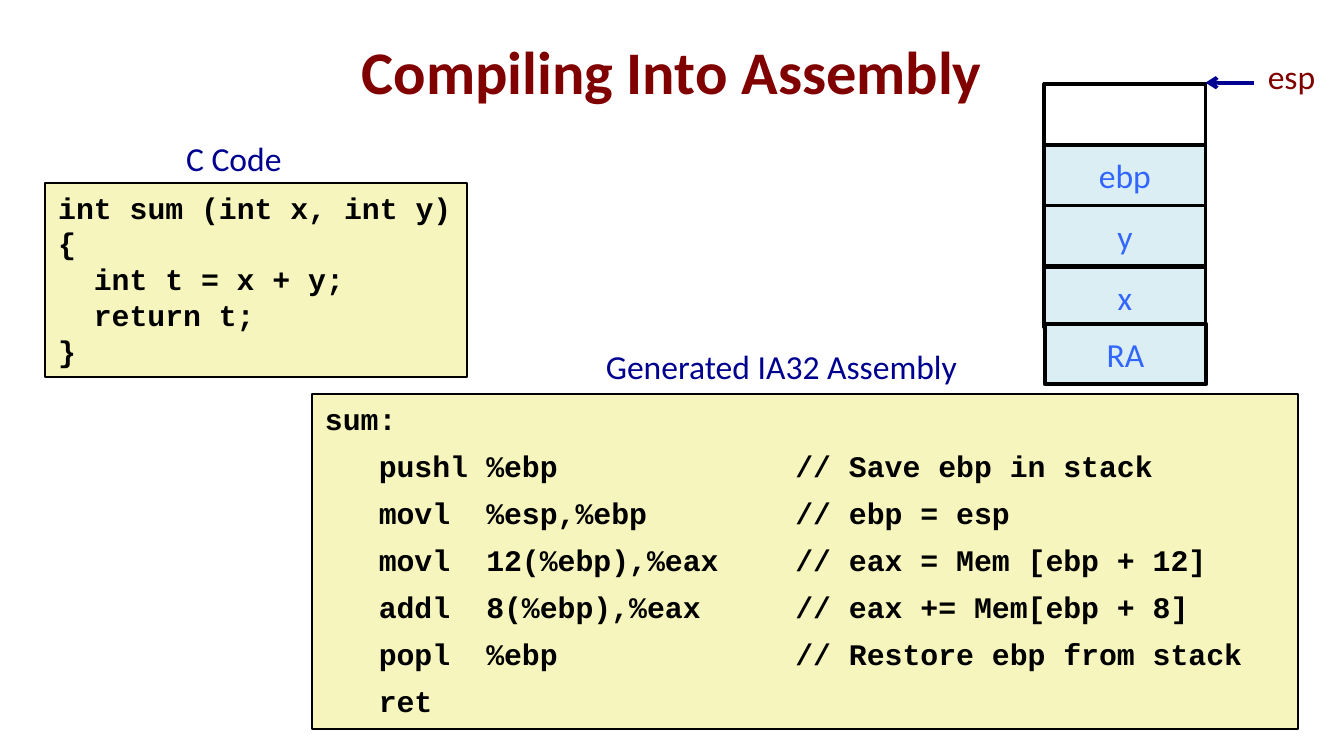
import pptx
import pptx.dml.color
import pptx.enum.shapes
import pptx.enum.text
import pptx.oxml.ns
import pptx.util
import lxml.etree

RGBColor = pptx.dml.color.RGBColor
MAROON = RGBColor(0x80, 0x00, 0x00)
NAVY = RGBColor(0x00, 0x00, 0x90)
BLUE = RGBColor(0x33, 0x66, 0xFF)
BLACK = RGBColor(0x00, 0x00, 0x00)
CREAM = RGBColor(0xF6, 0xF5, 0xBD)
PALE_BLUE = RGBColor(0xDB, 0xEE, 0xF4)

PX = 4572  # EMU per px, 200 px to the inch
ALIGN = pptx.enum.text.PP_ALIGN
ANCHOR = pptx.enum.text.MSO_ANCHOR
qn = pptx.oxml.ns.qn


def write(shape, text, size=18, color=NAVY, font="Calibri", bold=False, align=ALIGN.CENTER,
          anchor=ANCHOR.TOP, wrap=True, after=0, tabs=()):
    """Fill a shape with one paragraph per line; tabs are px from the text edge."""
    frame = shape.text_frame
    frame.word_wrap = wrap
    frame.vertical_anchor = anchor
    for number, line in enumerate(text.split("\n")):
        paragraph = frame.add_paragraph() if number else frame.paragraphs[0]
        paragraph.alignment = align
        paragraph.space_after = pptx.util.Pt(after)
        run = paragraph.add_run()
        run.text = line
        run.font.name = font
        run.font.size = pptx.util.Pt(size)
        run.font.bold = bold
        run.font.color.rgb = color
        if tabs:
            tab_list = lxml.etree.SubElement(paragraph._p.get_or_add_pPr(), qn("a:tabLst"))
            for stop in tabs:
                lxml.etree.SubElement(tab_list, qn("a:tab"), pos=str(stop * PX), algn="l")


def add_box(left, top, width, height, fill, line_width):
    box = slide.shapes.add_shape(pptx.enum.shapes.MSO_SHAPE.RECTANGLE,
                                 left * PX, top * PX, width * PX, height * PX)
    box.shadow.inherit = False
    if fill is None:
        box.fill.background()
    else:
        box.fill.solid()
        box.fill.fore_color.rgb = fill
    box.line.color.rgb = BLACK
    box.line.width = pptx.util.Pt(line_width)
    return box


deck = pptx.Presentation()
deck.slide_width = 2000 * PX
deck.slide_height = 1125 * PX
slide = deck.slides.add_slide(deck.slide_layouts[5])

title = slide.shapes.title
title.left, title.top, title.width, title.height = 100 * PX, 45 * PX, 1800 * PX, 120 * PX
write(title, "Compiling Into Assembly", size=32.4, color=MAROON, bold=True, anchor=ANCHOR.MIDDLE)

# Captions
for caption, left, top, width, height, color in (
    ("Generated IA32 Assembly", 444, 505, 1438, 106, NAVY),
    ("C Code", 200, 195, 296, 80, NAVY),
    ("esp", 1866, 74, 112, 80, MAROON),
):
    label = slide.shapes.add_textbox(left * PX, top * PX, width * PX, height * PX)
    write(label, caption, color=color, wrap=False)

# Code listings
code_format = dict(size=16, color=BLACK, font="Courier New", bold=True, align=ALIGN.LEFT)

assembly = """sum:
\tpushl\t%ebp\t// Save ebp in stack
\tmovl\t%esp,%ebp\t// ebp = esp
\tmovl\t12(%ebp),%eax\t// eax = Mem [ebp + 12]
\taddl\t8(%ebp),%eax\t// eax += Mem[ebp + 8]
\tpopl\t%ebp\t// Restore ebp from stack
\tret"""
write(add_box(464, 586, 1468, 499, CREAM, 1), assembly, after=6, tabs=(80, 240, 700), **code_format)

c_code = """int sum (int x, int y)
{
\tint t = x + y;
\treturn t;
}"""
write(add_box(67, 272, 628, 289, CREAM, 1), c_code, tabs=(53,), **code_format)

# Stack, drawn from the lowest cell up; RA overlaps the cell above it
stack_top, pitch = 125, 90.67
for row, name in reversed(list(enumerate(("", "ebp", "y", "x")))):
    cell = add_box(1554, round(stack_top + row * pitch), 240, 90, PALE_BLUE if name else None, 2)
    if name:
        write(cell, name, color=BLUE, anchor=ANCHOR.MIDDLE)
write(add_box(1555, 482, 240, 90, PALE_BLUE, 2), "RA", color=BLUE, anchor=ANCHOR.MIDDLE)

# Stack pointer
pointer = slide.shapes.add_connector(pptx.enum.shapes.MSO_CONNECTOR.STRAIGHT,
                                     1866 * PX, 123 * PX, 1794 * PX, 123 * PX)
pointer.line.color.rgb = NAVY
pointer.line.width = pptx.util.Pt(2)
lxml.etree.SubElement(pointer.line._get_or_add_ln(), qn("a:tailEnd"), type="arrow")
lxml.etree.SubElement(pointer._element.spPr, qn("a:effectLst"))

deck.save("out.pptx")
